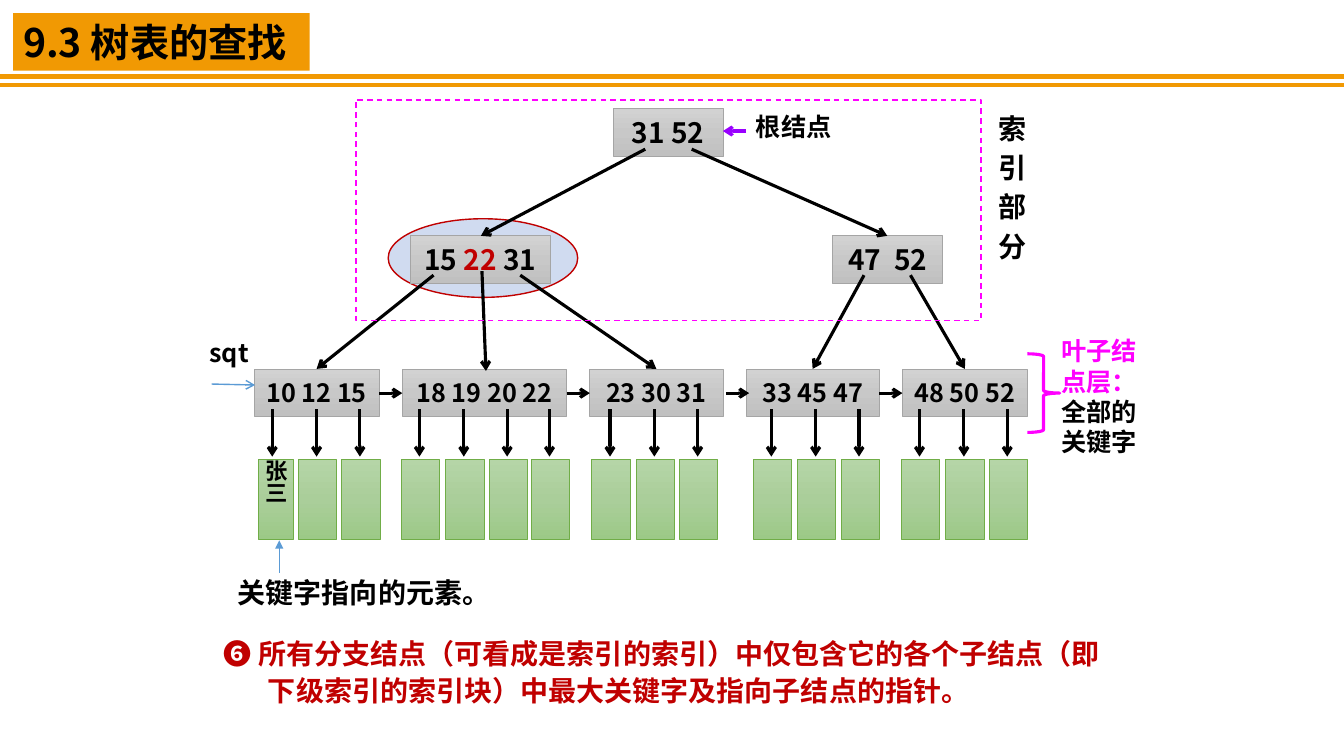
from copy import deepcopy

from lxml import etree
from pptx import Presentation
from pptx.dml.color import RGBColor
from pptx.enum.dml import MSO_LINE
from pptx.enum.shapes import MSO_CONNECTOR, MSO_SHAPE
from pptx.enum.text import MSO_ANCHOR, MSO_AUTO_SIZE, PP_ALIGN
from pptx.oxml.ns import qn
from pptx.util import Pt

RECTANGLE, OVAL, BRACE = MSO_SHAPE.RECTANGLE, MSO_SHAPE.OVAL, MSO_SHAPE.RIGHT_BRACE
STRAIGHT, DASH = MSO_CONNECTOR.STRAIGHT, MSO_LINE.DASH
TOP, MIDDLE = MSO_ANCHOR.TOP, MSO_ANCHOR.MIDDLE
LEFT, CENTER = PP_ALIGN.LEFT, PP_ALIGN.CENTER
NO_RESIZE = MSO_AUTO_SIZE.NONE

EMU_PER_PX = 9144
TITLE_ONLY = 5
FONT = "Noto Sans CJK SC"
COLORS = {
    "black": "000000", "white": "FFFFFF", "orange": "F19903", "red": "C00000",
    "magenta": "FF00FF", "purple": "9900FF", "blue": "5B9BD5",
    "highlight": "4472C4", "node_line": "A5A5A5", "record_line": "70AD47",
    "node_top": "D2D2D2", "node_middle": "C8C8C8", "node_bottom": "C0C0C0",
    "record_top": "B5D5A7", "record_middle": "AACE9A", "record_bottom": "9CC987",
}
NODE_FILL = ("node_top", "node_middle", "node_bottom")
RECORD_FILL = ("record_top", "record_middle", "record_bottom")


def px(length):
    return length * EMU_PER_PX


def rgb(name):
    return RGBColor.from_string(COLORS[name])


def apply(target, formats):
    for name, value in formats.items():
        setattr(target, name, value)


class TreeSlide:
    def __init__(self, presentation):
        self.slide = presentation.slides.add_slide(
            presentation.slide_layouts[TITLE_ONLY])
        self.shapes = self.slide.shapes

    def set_text(self, shape, paragraphs, size, insets=(10, 5, 10, 5),
                 anchor=TOP, **paragraph_formats):
        frame = shape.text_frame
        left, top, right, bottom = map(px, insets)
        apply(frame, {
            "word_wrap": True, "auto_size": NO_RESIZE, "vertical_anchor": anchor,
            "margin_left": left, "margin_top": top,
            "margin_right": right, "margin_bottom": bottom,
        })
        for index, runs in enumerate(paragraphs):
            paragraph = frame.add_paragraph() if index else frame.paragraphs[0]
            apply(paragraph, {"alignment": LEFT, **paragraph_formats})
            if index == 0:
                paragraph.space_before = Pt(0)
            for text, color in runs:
                run = paragraph.add_run()
                run.text = text
                run.font.color.rgb = rgb(color)
                apply(run.font, {"size": Pt(size), "bold": True, "name": FONT})
                east_asian = etree.SubElement(run.font._element, qn("a:ea"))
                east_asian.set("typeface", FONT)

    def title(self, text, box):
        title = self.shapes.title
        apply(title, dict(zip(("left", "top", "width", "height"), map(px, box))))
        title.fill.solid()
        title.fill.fore_color.rgb = rgb("orange")
        self.set_text(title, [[(text, "black")]], 28, anchor=MIDDLE)

    def shape(self, kind, box, fill=None, line=None, width=1, dash=None):
        shape = self.shapes.add_shape(kind, *map(px, box))
        shape.shadow.inherit = False
        if fill:
            shape.fill.solid()
            shape.fill.fore_color.rgb = rgb(fill)
        else:
            shape.fill.background()
        if line:
            shape.line.color.rgb = rgb(line)
            apply(shape.line, {"width": Pt(width), "dash_style": dash})
        else:
            shape.line.fill.background()
        return shape

    def gradient_box(self, box, colors, line):
        shape = self.shape(RECTANGLE, box, line=line, width=0.5)
        shape.fill.gradient()
        shape.fill.gradient_angle = 270
        stop_list = shape._element.spPr.find(".//" + qn("a:gsLst"))
        stop_list.append(deepcopy(stop_list[0]))
        for stop, position, color in zip(shape.fill.gradient_stops, (0, 0.5, 1), colors):
            stop.position = position
            stop.color.rgb = rgb(color)
        return shape

    def node(self, box, runs, size=20):
        shape = self.gradient_box(box, NODE_FILL, "node_line")
        self.set_text(shape, [runs], size, (0, 5, 0, 5), MIDDLE, alignment=CENTER)

    def record(self, box):
        return self.gradient_box(box, RECORD_FILL, "record_line")

    def label(self, box, paragraphs, size, **formats):
        shape = self.shapes.add_textbox(*map(px, box))
        self.set_text(shape, paragraphs, size, **formats)

    def line(self, points, color="black", width=2.25, head=None):
        connector = self.shapes.add_connector(STRAIGHT, *map(px, points))
        connector.line.color.rgb = rgb(color)
        connector.line.width = Pt(width)
        properties = connector._element.spPr
        if head:
            tail = etree.SubElement(properties.find(qn("a:ln")), qn("a:tailEnd"))
            tail.set("type", head)
        etree.SubElement(properties, qn("a:effectLst"))

    def arrow(self, points, **formats):
        self.line(points, **{"head": "arrow", **formats})


def draw_heading(tree):
    tree.title("9.3 树表的查找", (13, 13, 294, 57))
    for y in (76, 84):
        tree.line((0, y, 1333, y), "orange", 3)


def draw_note(tree):
    note = tree.shape(RECTANGLE, (206, 617, 914, 97), fill="white")
    text = (" ❻ 所有分支结点（可看成是索引的索引）中仅包含它的各个子结点"
            "（即下级索引的索引块）中最大关键字及指向子结点的指针。")
    tree.set_text(note, [[(text, "red")]], 20, (10, 12, 10, 12), line_spacing=Pt(26))
    properties = note.text_frame.paragraphs[0]._p.get_or_add_pPr()
    properties.set("marL", str(px(50)))
    properties.set("indent", str(px(-50)))


def draw_nodes(tree):
    highlight = tree.shape(OVAL, (385, 217, 188, 78), fill="highlight", line="red")
    color = highlight._element.spPr.find(qn("a:solidFill"))[0]
    etree.SubElement(color, qn("a:alpha")).set("val", "25000")

    tree.node((608, 108, 109, 47), [("31 52", "black")])
    tree.node((407, 234, 139, 47), [("15", "black"), (" 22 ", "red"), ("31", "black")])
    tree.node((826, 234, 109, 47), [("47  52", "black")])

    leaves = (
        (252, 124, "10 12 15", 252), (399, 163, "18 19 20 22", 398),
        (585, 132, "23 30 31", 587), (740, 132, "33 45 47", 747),
        (895, 124, "48 50 52", 894),
    )
    for left, width, keys, record_start in leaves:
        tree.node((left, 366, width, 47), [(keys, "black")], 18)
        for key, offset in zip(keys.split(), (0, 44, 87, 129)):
            x = record_start + offset
            tree.arrow((x + 18, 406, x + 18, 453))
            if key == "10":
                element = tree.record((256, 456, 35, 79))
                tree.set_text(element, [[("张三", "black")]], 16, (4, 0, 4, 0))
                element.text_frame._txBody.bodyPr.set("vert", "eaVert")
            else:
                tree.record((x, 456, 38, 79))


def draw_links(tree):
    for x in (376, 562, 720, 872):
        tree.arrow((x, 390, x + 23, 390))
    for points in (
        (430, 273, 314, 366), (478, 269, 482, 368), (516, 273, 651, 366),
        (857, 273, 806, 366), (903, 273, 957, 366),
        (640, 148, 477, 234), (686, 148, 880, 234),
    ):
        tree.arrow(points)


def draw_annotations(tree):
    tree.arrow((277, 568, 277, 536), color="blue", width=1, head="triangle")
    tree.label((226, 566, 289, 44), [[("关键字指向的元素。", "black")]], 20)
    tree.shape(RECTANGLE, (353, 99, 620, 219), line="magenta", dash=DASH)
    tree.label((981, 114, 40, 161), [[(letter, "black")] for letter in "索引部分"],
               20, line_spacing=Pt(18), space_before=Pt(10))
    tree.arrow((740, 130, 717, 130), color="purple")
    tree.label((740, 106, 116, 40), [[("根结点", "black")]], 18)
    tree.arrow((210, 381, 253, 382), color="blue", width=1)
    tree.label((198, 330, 63, 40), [[("sqt", "black")]], 18)
    tree.label((1043, 328, 107, 131),
               [[("叶子结点层：", "magenta"), ("全部的关键字", "black")]], 18)
    tree.shape(BRACE, (1019, 351, 32, 78), line="magenta", width=2.25)


def main():
    presentation = Presentation()
    apply(presentation, {"slide_width": px(1333), "slide_height": px(750)})
    tree = TreeSlide(presentation)
    for draw in (draw_heading, draw_note, draw_nodes, draw_links, draw_annotations):
        draw(tree)
    presentation.save("out.pptx")


if __name__ == "__main__":
    main()
